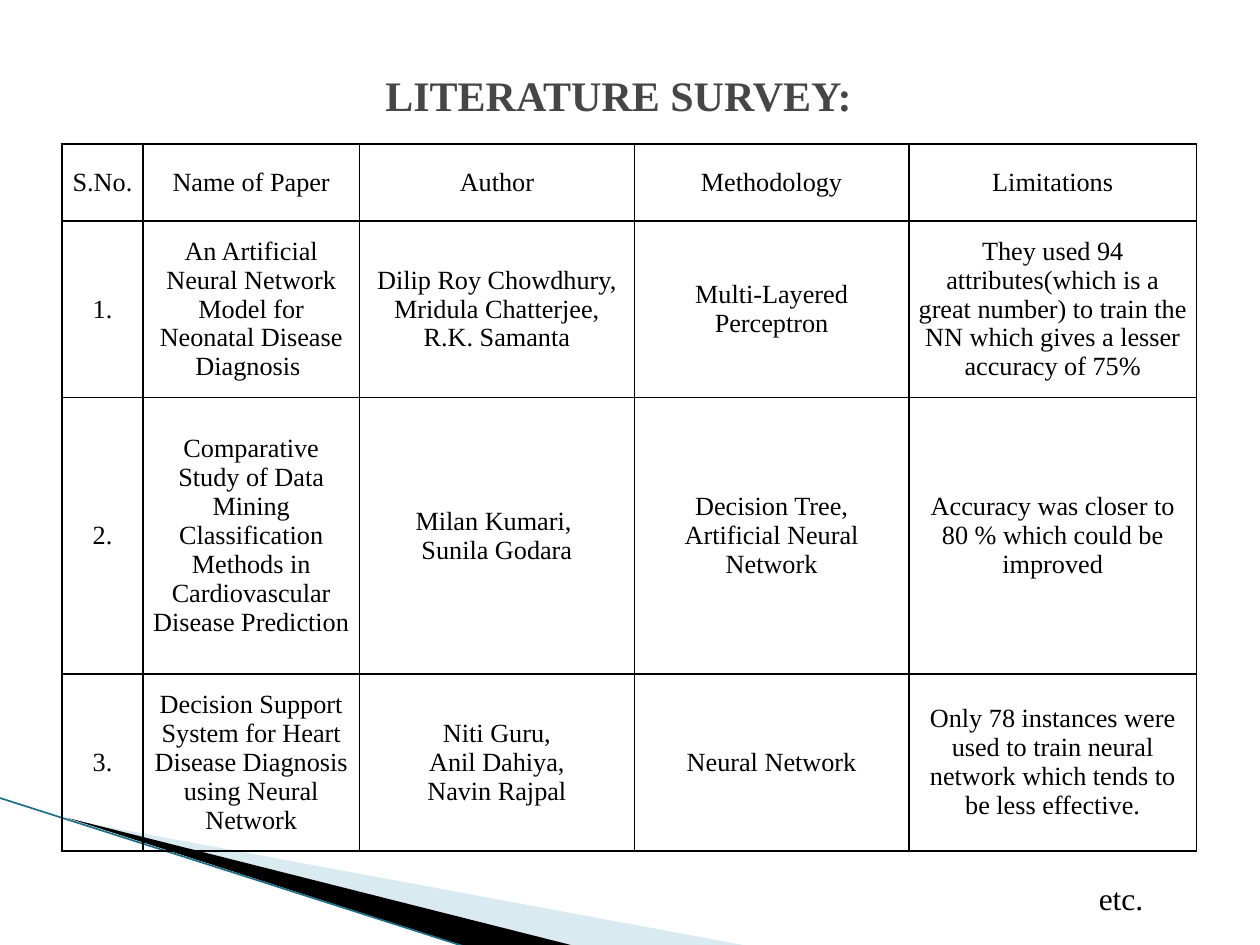
from lxml import etree
from pptx import Presentation
from pptx.dml.color import RGBColor
from pptx.enum.shapes import MSO_CONNECTOR
from pptx.enum.text import MSO_ANCHOR, MSO_AUTO_SIZE, PP_ALIGN
from pptx.oxml.ns import qn
from pptx.util import Pt

STRAIGHT = MSO_CONNECTOR.STRAIGHT
MIDDLE, TOP = MSO_ANCHOR.MIDDLE, MSO_ANCHOR.TOP
CENTER, LEFT = PP_ALIGN.CENTER, PP_ALIGN.LEFT
FIT_SHAPE = MSO_AUTO_SIZE.SHAPE_TO_FIT_TEXT

FONT = "Times New Roman"
BLACK = "000000"

COLUMNS = [46.2, 123.8, 157, 157, 164.3]
ROWS = [43.9, 101, 158.1, 101]
PAPERS = [
    ["S.No.", "Name of Paper", "Author", "Methodology", "Limitations"],
    ["1.",
     "An Artificial Neural Network Model for Neonatal Disease Diagnosis ",
     "Dilip Roy Chowdhury,\nMridula Chatterjee,\nR.K. Samanta",
     "Multi-Layered Perceptron",
     "They used 94 attributes(which is a great number) to train the NN "
     "which gives a lesser accuracy of 75%"],
    ["2.",
     "Comparative Study of Data Mining Classification Methods in "
     "Cardiovascular Disease Prediction",
     "Milan Kumari, \nSunila Godara",
     "Decision Tree,\nArtificial Neural Network",
     "Accuracy was closer to 80 % which could be improved"],
    ["3.",
     "Decision Support System for Heart Disease Diagnosis using Neural Network",
     "Niti Guru,\nAnil Dahiya,\nNavin Rajpal",
     "Neural Network",
     "Only 78 instances were used to train neural network which tends to "
     "be less effective."],
]


def rgb(color):
    return RGBColor.from_string(color)


def set_text(tf, text, size, color=BLACK, bold=False, align=CENTER):
    tf.text = text
    for p in tf.paragraphs:
        p.alignment = align
        for r in p.runs:
            r.font.name = FONT
            r.font.size = Pt(size)
            r.font.bold = bold
            r.font.color.rgb = rgb(color)


def add_text(s, box, text, size, anchor=TOP, wrap=True, **style):
    tf = s.shapes.add_textbox(*map(Pt, box)).text_frame
    tf.word_wrap = wrap
    tf.vertical_anchor = anchor
    if not wrap:
        tf.auto_size = FIT_SHAPE
    set_text(tf, text, size, **style)


def set_frame(sp, frame):
    """Give the outline another frame while its points stay in place."""
    left, top, width, height = map(Pt, frame)
    dx, dy = sp.left - left, sp.top - top
    for outline in sp._element.iter(qn("a:path")):
        outline.set("w", str(width))
        outline.set("h", str(height))
        for pt in outline.iter(qn("a:pt")):
            pt.set("x", str(int(pt.get("x")) + dx))
            pt.set("y", str(int(pt.get("y")) + dy))
    sp.left, sp.top, sp.width, sp.height = left, top, width, height


def add_wedge(s, frame, points, color, opacity=100):
    start, *rest = [(Pt(x), Pt(y)) for x, y in points]
    builder = s.shapes.build_freeform(*start)
    builder.add_line_segments(rest, close=True)
    sp = builder.convert_to_shape()
    set_frame(sp, frame)
    sp.shadow.inherit = False
    sp.fill.solid()
    sp.fill.fore_color.rgb = rgb(color)
    sp.line.fill.background()
    if opacity < 100:
        clr = sp.fill._xPr.find(qn("a:solidFill"))[0]
        etree.SubElement(clr, qn("a:alpha"), val=str(opacity * 1000))


def add_line(s, ends, color, width):
    line = s.shapes.add_connector(STRAIGHT, *map(Pt, ends))
    line.line.color.rgb = rgb(color)
    line.line.width = Pt(width)
    etree.SubElement(line._element.spPr, qn("a:effectLst"))


def set_borders(cell, color, width):
    tcPr = cell._tc.get_or_add_tcPr()
    for i, side in enumerate(("a:lnL", "a:lnR", "a:lnT", "a:lnB")):
        ln = etree.Element(qn(side), w=str(Pt(width)))
        fill = etree.SubElement(ln, qn("a:solidFill"))
        etree.SubElement(fill, qn("a:srgbClr"), val=color)
        tcPr.insert(i, ln)


def add_paper_table(s, left, top):
    frame = s.shapes.add_table(len(ROWS), len(COLUMNS), Pt(left), Pt(top),
                               Pt(sum(COLUMNS)), Pt(sum(ROWS)))
    table = frame.table
    table.first_row = table.horz_banding = False
    for column, width in zip(table.columns, COLUMNS):
        column.width = Pt(width)
    for row, height, texts in zip(table.rows, ROWS, PAPERS):
        row.height = Pt(height)
        for cell, text in zip(row.cells, texts):
            cell.fill.background()
            cell.vertical_anchor = MIDDLE
            cell.margin_left = cell.margin_right = Pt(5)
            cell.margin_top = cell.margin_bottom = Pt(2.7)
            set_text(cell.text_frame, text, 15)
            set_borders(cell, BLACK, 1)


def main():
    prs = Presentation()
    prs.slide_width, prs.slide_height = Pt(720), Pt(540)
    s = prs.slides.add_slide(prs.slide_layouts[6])

    # Corner decoration
    add_wedge(s, (56.2, 393.8, 299.5, 113.8),
              [(39.6, 468.5), (428.4, 540.7), (328.3, 540.7)], "A0CBDC", 40)
    add_wedge(s, (-4.3, 455.8, 299.5, 66.2),
              [(38.2, 467.3), (329, 540.7), (267.8, 541.4)], BLACK)
    add_line(s, (-0.7, 455.8, 267.1, 541.4), "1C6F87", 0.95)

    # Title
    add_text(s, (43.2, 27, 620.6, 54.7), "LITERATURE SURVEY:", 24,
             anchor=MIDDLE, color="464646", bold=True)

    # Surveyed papers
    add_paper_table(s, 35.5, 82.3)

    # Closing note
    add_text(s, (620.8, 499, 40, 29), "etc.", 18, wrap=False, align=LEFT)

    prs.save("out.pptx")


if __name__ == "__main__":
    main()
